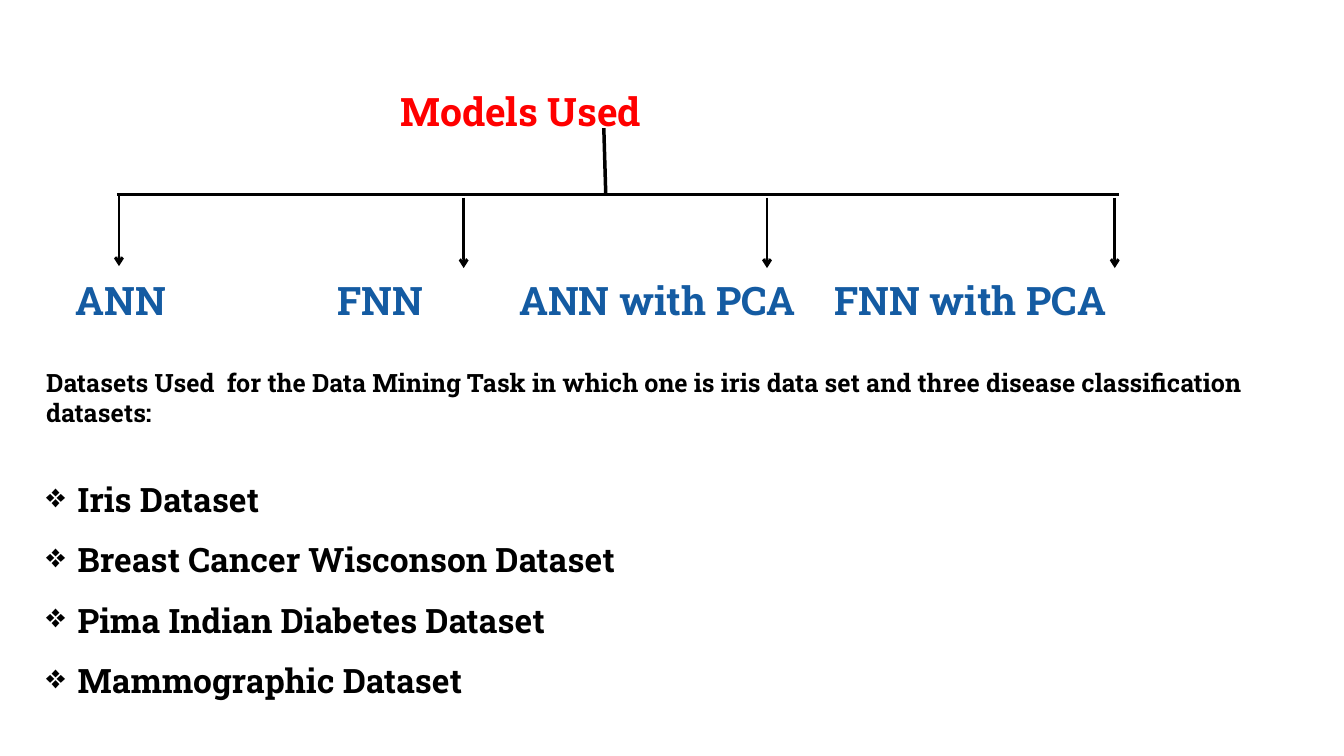
"""Build a slide that shows the models as a tree above a list of datasets."""
import pptx
import pptx.dml.color
import pptx.enum.shapes
import pptx.enum.text
import pptx.oxml.ns
import pptx.util
from lxml import etree

Pt = pptx.util.Pt
qn = pptx.oxml.ns.qn


def write(box, lines, size, colour):
    """Fill a box with bold lines and return its paragraphs."""
    frame = box.text_frame
    frame.text = "\n".join(lines)
    frame.word_wrap = True
    frame.auto_size = pptx.enum.text.MSO_AUTO_SIZE.NONE
    frame.vertical_anchor = pptx.enum.text.MSO_ANCHOR.TOP
    frame.margin_left = frame.margin_right = frame.margin_top = frame.margin_bottom = 0
    for paragraph in frame.paragraphs:
        paragraph.alignment = pptx.enum.text.PP_ALIGN.LEFT
        font = paragraph.runs[0].font
        font.name, font.size, font.bold = "Roboto Slab", Pt(size), True
        font.color.rgb = pptx.dml.color.RGBColor.from_string(colour)
    return frame.paragraphs


def draw_line(x1, y1, x2, y2, width, arrow=False):
    """Draw a black line, with an arrowhead at its end if asked."""
    line = slide.shapes.add_connector(
        pptx.enum.shapes.MSO_CONNECTOR.STRAIGHT, Pt(x1), Pt(y1), Pt(x2), Pt(y2))
    line.line.width = Pt(width)
    line.line.color.rgb = pptx.dml.color.RGBColor.from_string("000000")
    if arrow:
        etree.SubElement(line.line._get_or_add_ln(), qn("a:tailEnd"), type="arrow")
    etree.SubElement(line._element.spPr, qn("a:effectLst"))


presentation = pptx.Presentation()
presentation.slide_width, presentation.slide_height = Pt(960), Pt(540)
slide = presentation.slides.add_slide(presentation.slide_layouts[5])

title = slide.shapes.title
title.left, title.top, title.width, title.height = Pt(286), Pt(62), Pt(200), Pt(34)
write(title, ["Models Used"], 28, "FF0000")

models = [("ANN", 54), ("FNN", 241), ("ANN with PCA", 371), ("FNN with PCA", 596)]
for model, left in models:
    label = slide.shapes.add_textbox(Pt(left), Pt(197), Pt(215), Pt(34))
    write(label, [model], 28, "145BA2")

datasets = slide.shapes.add_textbox(Pt(33), Pt(262.5), Pt(890.5), Pt(244))
heading, *entries = write(datasets, [
    "Datasets Used  for the Data Mining Task in which one is iris data set "
    "and three disease classification datasets:",
    "Iris Dataset",
    "Breast Cancer Wisconson Dataset",
    "Pima Indian Diabetes Dataset",
    "Mammographic Dataset",
], 18, "000000")
heading.space_after = Pt(22)
for entry in entries:
    entry.line_spacing = 1.5
    entry.runs[0].font.size = Pt(24)
    properties = entry._p.get_or_add_pPr()
    properties.set("marL", str(Pt(22.5)))
    properties.set("indent", str(-Pt(22.5)))
    etree.SubElement(properties, qn("a:buChar"), char="❖")

draw_line(431.3, 91.5, 432.7, 138.5, 2.5)
draw_line(83.5, 138.7, 799.2, 138.7, 2)
for x, top in [(85, 139.7), (331.2, 141.1), (547.9, 141.1), (796.3, 141.1)]:
    draw_line(x, top, x, top + 50.4, 2, arrow=True)

presentation.save("out.pptx")
